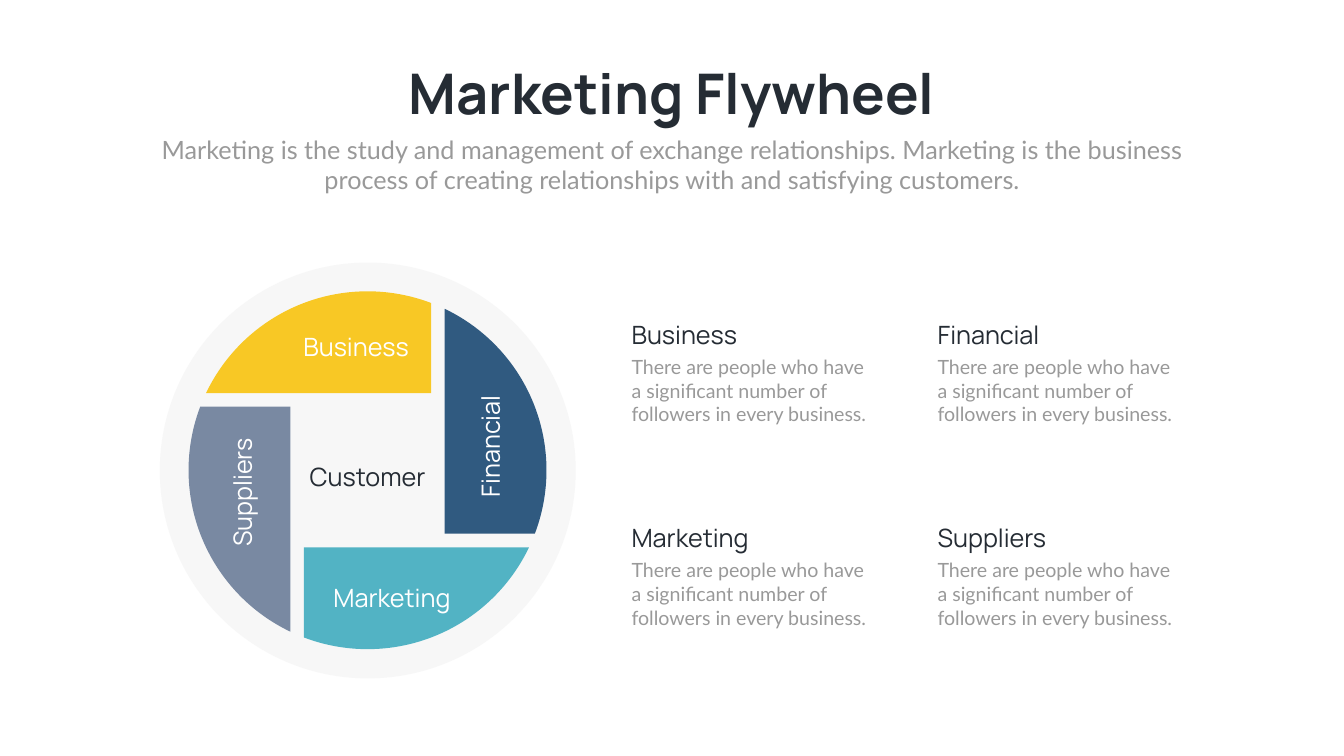
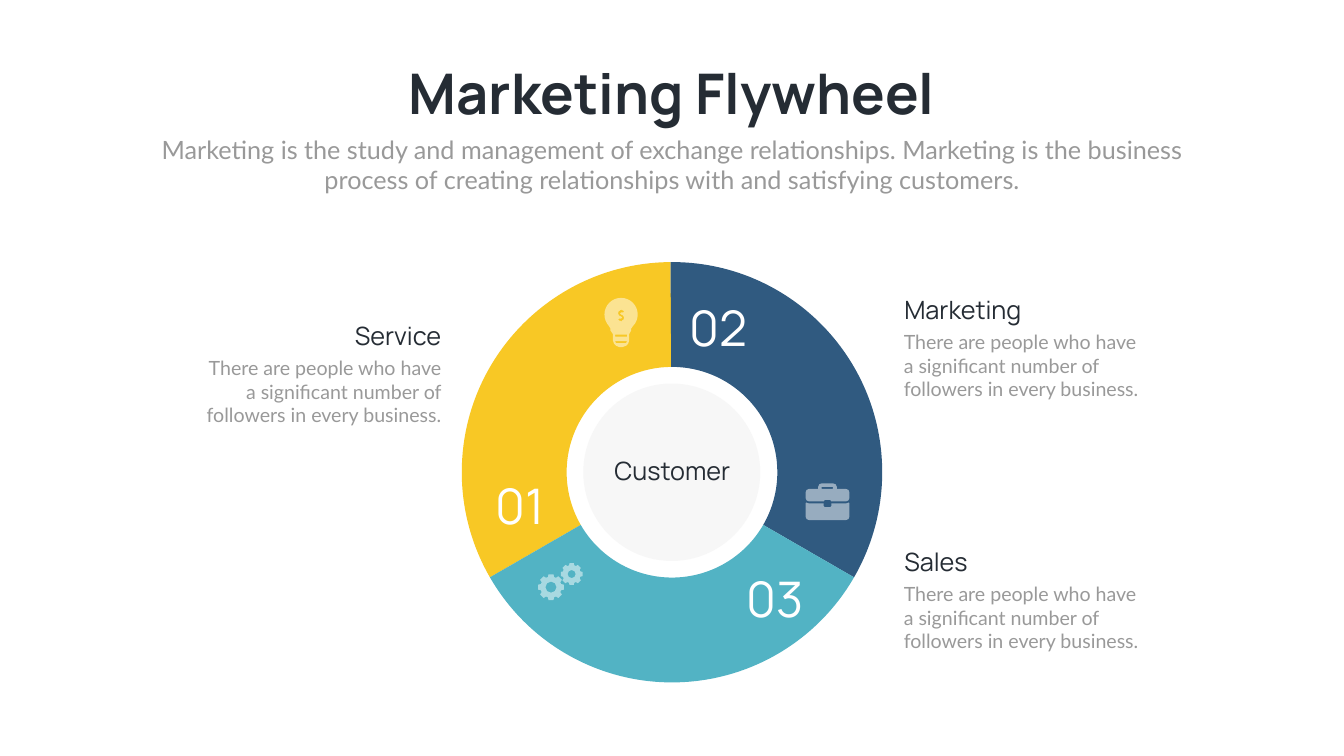
from math import acos, asin, cos, degrees, radians, sin, tan

from lxml.etree import Element, SubElement
from pptx import Presentation
from pptx.dml.color import RGBColor
from pptx.enum.shapes import MSO_SHAPE
from pptx.enum.text import MSO_ANCHOR, MSO_AUTO_SIZE, PP_ALIGN
from pptx.oxml.ns import qn
from pptx.util import Inches, Pt

DARK, GRAY, WHITE, PALE = "252C34", "999999", "FFFFFF", "F2F2F2"
YELLOW, NAVY, TEAL, SLATE = "F8C825", "305A80", "52B3C4", "7989A2"
HEADING_FONT, BODY_FONT = "Manrope", "Lato"
LEFT, CENTER, RIGHT = PP_ALIGN.LEFT, PP_ALIGN.CENTER, PP_ALIGN.RIGHT
TITLE = "Marketing Flywheel"
SUBTITLE = (
    "Marketing is the study and management of exchange relationships. "
    "Marketing is the business process of creating relationships with "
    "and satisfying customers."
)
DESCRIPTION = "There are people who have a significant number of followers in every business."


def add_text(shapes, text, box, size=36, font=HEADING_FONT, color=DARK, align=CENTER, bold=False, wrap=True):
    shape = shapes.add_textbox(*[Inches(value) for value in box])
    text_frame = shape.text_frame
    text_frame.word_wrap = wrap
    text_frame.auto_size = MSO_AUTO_SIZE.SHAPE_TO_FIT_TEXT
    text_frame.text = text
    paragraph = text_frame.paragraphs[0]
    paragraph.alignment = align
    run = paragraph.runs[0]
    run.font.size = Pt(size)
    run.font.name = font
    run.font.bold = bold
    run.font.color.rgb = RGBColor.from_string(color)
    return shape


def add_figure(shapes, color, opacity=100, contours=(), oval=None):
    if oval:
        shape = shapes.add_shape(MSO_SHAPE.OVAL, *[Inches(value) for value in oval])
    else:
        builder = None
        segment_controls = []
        for first_point, *segments in contours:
            start = [Inches(value) for value in first_point]
            if builder:
                builder.move_to(*start)
            else:
                builder = shapes.build_freeform(*start)
            points = []
            for segment in segments:
                controls = []
                if len(segment) == 5:
                    x, y, radius, begin, end = segment
                    begin, end = radians(begin), radians(end)
                    reach = radius * 4 / 3 * tan((end - begin) / 4)
                    for turn, pull in ((begin, reach), (end, -reach)):
                        control_x = x + radius * cos(turn) - pull * sin(turn)
                        control_y = y + radius * sin(turn) + pull * cos(turn)
                        controls.append((Inches(control_x), Inches(control_y)))
                    segment = (x + radius * cos(end), y + radius * sin(end))
                points.append([Inches(value) for value in segment])
                segment_controls.append(controls)
            builder.add_line_segments(points)
        shape = builder.convert_to_shape()
        lines = list(shape._element.spPr.iter(qn("a:lnTo")))
        for line, controls in zip(lines, segment_controls):
            if controls:
                curve = Element(qn("a:cubicBezTo"))
                for x, y in controls:
                    SubElement(curve, qn("a:pt"), x=str(x - shape.left), y=str(y - shape.top))
                curve.append(line[0])
                line.getparent().replace(line, curve)
    shape.shadow.inherit = False
    shape.line.fill.background()
    shape.fill.solid()
    shape.fill.fore_color.rgb = RGBColor.from_string(color)
    if opacity < 100:
        color_element = next(shape._element.spPr.iter(qn("a:srgbClr")))
        SubElement(color_element, qn("a:alpha")).set("val", str(opacity * 1000))


presentation = Presentation()
presentation.slide_width = Inches(26.66)
presentation.slide_height = Inches(15)

slides = []
for _ in range(2):
    slide = presentation.slides.add_slide(presentation.slide_layouts[6])
    add_text(slide.shapes, TITLE, (7.58, 1.12, 11.5, 1.45), 80, bold=True, wrap=False)
    add_text(slide.shapes, SUBTITLE, (2.92, 2.61, 20.82, 1.31), 36, BODY_FONT, GRAY)
    slides.append(slide)
quadrant_slide, ring_slide = slides

wheel = quadrant_slide.shapes.add_group_shape().shapes
add_figure(wheel, PALE, 60, oval=(3.17, 5.21, 8.25, 8.25))
center_x, center_y, wheel_radius = 7.29, 9.33, 3.55
inner_edge, side_edge = 1.53, 1.26
first_angle = 180 + degrees(asin(inner_edge / wheel_radius))
last_angle = 360 - degrees(acos(side_edge / wheel_radius))
for rotation, color in ((180 + 90, SLATE), (180, TEAL), (90, NAVY), (0, YELLOW)):
    turn = radians(rotation)
    corner_x = center_x + side_edge * cos(turn) + inner_edge * sin(turn)
    corner_y = center_y + side_edge * sin(turn) - inner_edge * cos(turn)
    tail = radians(first_angle + rotation)
    blade = [
        (corner_x, corner_y),
        (center_x + wheel_radius * cos(tail), center_y + wheel_radius * sin(tail)),
        (center_x, center_y, wheel_radius, first_angle + rotation, 270 + rotation),
        (center_x, center_y, wheel_radius, 270 + rotation, last_angle + rotation),
    ]
    add_figure(wheel, color, contours=[blade])

for label, box, color, rotation in (
    ("Business", (5.7, 6.53, 2.73, 0.71), WHITE, 0),
    ("Financial", (8.26, 8.5, 2.92, 0.71), WHITE, 270),
    ("Marketing", (6.14, 11.5, 3.27, 0.71), WHITE, 0),
    ("Suppliers", (3.34, 9.42, 2.92, 0.71), WHITE, 270),
    ("Customer", (5.76, 9.11, 3.06, 0.71), DARK, 0),
):
    add_text(wheel, label, box, color=color).rotation = rotation

quadrant_names = (("Business", "Marketing"), ("Financial", "Suppliers"))
for left, names in zip((12.43, 18.5), quadrant_names):
    for top, name in zip((6.29, 10.32), names):
        add_text(quadrant_slide.shapes, name, (left, top, 4.54, 0.71), align=LEFT)
        add_text(quadrant_slide.shapes, DESCRIPTION, (left, top + 0.71, 5, 1.51), 28, BODY_FONT, GRAY, LEFT)

for name, heading_left, body_left, top, align in (
    ("Service", 4.31, 3.85, 6.31, RIGHT),
    ("Marketing", 17.84, 17.83, 5.79, LEFT),
    ("Sales", 17.84, 17.83, 10.79, LEFT),
):
    card = ring_slide.shapes.add_group_shape().shapes
    add_text(card, name, (heading_left, top, 4.54, 0.71), align=align)
    add_text(card, DESCRIPTION, (body_left, top + 0.71, 5, 1.51), 28, BODY_FONT, GRAY, align)

ring = ring_slide.shapes.add_group_shape().shapes
center_x, center_y, outer_radius, inner_radius = 13.33, 9.37, 4.17, 2.09
for begin, middle, end, color in ((150, 180, 269.6, YELLOW), (269.6, 360, 390, NAVY), (30, 90, 150, TEAL)):
    outer_start, inner_start = radians(begin), radians(end)
    segment = [
        (center_x + outer_radius * cos(outer_start), center_y + outer_radius * sin(outer_start)),
        (center_x, center_y, outer_radius, begin, middle),
        (center_x, center_y, outer_radius, middle, end),
        (center_x + inner_radius * cos(inner_start), center_y + inner_radius * sin(inner_start)),
        (center_x, center_y, inner_radius, end, middle),
        (center_x, center_y, inner_radius, middle, begin),
    ]
    add_figure(ring, color, contours=[segment])

for number, left, top in (("01", 9.25, 9.38), ("02", 13.18, 5.84), ("03", 14.31, 11.22)):
    shape = add_text(ring, number, (left, top, 2.13, 1.29), 70, color=WHITE)
    text_frame = shape.text_frame
    text_frame.vertical_anchor = MSO_ANCHOR.MIDDLE
    text_frame.margin_left = text_frame.margin_right = Inches(0.06)
    text_frame.margin_top = text_frame.margin_bottom = Inches(0.06)

gears = []
for x, y, tip, root, hole in ((10.93, 11.65, 0.26, 0.21, 0.11), (11.34, 11.39, 0.22, 0.18, 0.08)):
    teeth = [
        (x + distance * cos(radians(tooth + offset)), y + distance * sin(radians(tooth + offset)))
        for tooth in range(0, 360, 45)
        for distance, offset in ((root, -17), (tip, -11), (tip, 11), (root, 17))
    ]
    bore = [(x + hole, y)]
    bore += [(x, y, hole, angle, angle - 90) for angle in (360, 270, 180, 90)]
    gears += [teeth, bore]
add_figure(ring, WHITE, 50, gears)

case_lid = [
    (16.05, 9.7), (16.23, 9.7), (16.23, 9.66), (16.3, 9.66, 0.07, 180, 270), (16.52, 9.59),
    (16.53, 9.66, 0.07, 270, 360), (16.6, 9.7), (16.78, 9.7), (16.78, 9.77, 0.07, 270, 360),
    (16.85, 9.88), (16.78, 9.88, 0.07, 0, 90), (16.49, 9.95), (16.47, 9.92), (16.36, 9.92),
    (16.34, 9.95), (16.05, 9.95), (16.05, 9.88, 0.07, 90, 180), (15.98, 9.77),
    (16.05, 9.77, 0.07, 180, 270),
]
handle_gap = [(16.3, 9.7), (16.52, 9.7), (16.52, 9.66), (16.3, 9.66)]
case_body = [
    (15.99, 9.97), (16.05, 9.99), (16.34, 9.99), (16.34, 10.04), (16.36, 10.06), (16.47, 10.06),
    (16.49, 10.04), (16.49, 9.99), (16.78, 9.99), (16.84, 9.97), (16.85, 9.99), (16.85, 10.25),
    (16.78, 10.25, 0.07, 0, 90), (16.05, 10.32), (16.05, 10.25, 0.07, 90, 180), (15.98, 9.99),
]
add_figure(ring, WHITE, 50, [case_lid, handle_gap])
add_figure(ring, WHITE, 50, [case_body])

bulb_angles = (136, 180, 270, 360, 404)
bulb = [(12.08, 6.47)]
bulb += [(12.32, 6.24, 0.33, begin, end) for begin, end in zip(bulb_angles, bulb_angles[1:])]
bulb += [
    (12.52, 6.52), (12.52, 6.56), (12.48, 6.63), (12.48, 6.76), (12.46, 6.82), (12.42, 6.86),
    (12.34, 6.89), (12.29, 6.89), (12.22, 6.86), (12.18, 6.82), (12.16, 6.76), (12.16, 6.63),
    (12.11, 6.56), (12.11, 6.52),
]
dollar = [
    (12.32, 6.28), (12.28, 6.26), (12.26, 6.22), (12.27, 6.18), (12.3, 6.16), (12.32, 6.14),
    (12.34, 6.16), (12.36, 6.16), (12.38, 6.18), (12.36, 6.2), (12.32, 6.2), (12.3, 6.22),
    (12.32, 6.24), (12.36, 6.26), (12.38, 6.3), (12.37, 6.34), (12.34, 6.36), (12.32, 6.38),
    (12.3, 6.36), (12.28, 6.36), (12.26, 6.34), (12.28, 6.32), (12.32, 6.32), (12.34, 6.3),
]
upper_slot = [(12.44, 6.68), (12.2, 6.68), (12.2, 6.64), (12.44, 6.64)]
lower_slot = [(12.43, 6.79), (12.41, 6.81), (12.22, 6.81), (12.21, 6.79), (12.2, 6.77), (12.44, 6.77)]
add_figure(ring, WHITE, 50, [bulb, dollar, upper_slot, lower_slot])

add_figure(ring, PALE, 60, oval=(11.57, 7.61, 3.51, 3.52))
add_text(ring, "Customer", (11.61, 8.98, 3.45, 0.71))

presentation.save("out.pptx")
